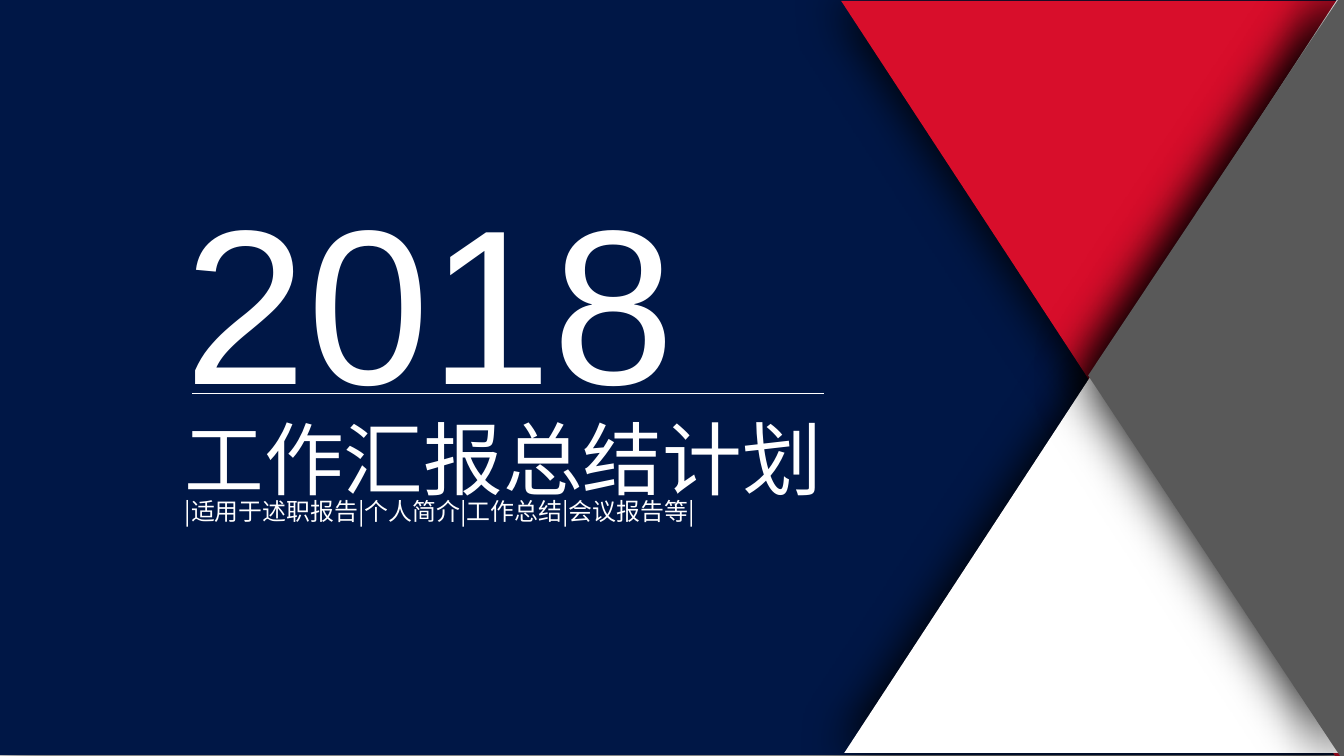
from dataclasses import dataclass

from lxml import etree
from pptx import Presentation
from pptx import util as u
from pptx.dml.color import RGBColor
from pptx.enum import shapes
from pptx.oxml import ns

NAVY, RED, GREY, WHITE = "001746", "D80E2B", "595959", "FFFFFF"
CJK = "Noto Sans CJK SC"


@dataclass
class Triangle:
    top: int
    left: int
    color: str
    blur: int
    angle: int
    flipped: bool


@dataclass
class Label:
    text: str
    top: int
    width: int
    height: int
    size: int
    font: str


TRIANGLES = [
    Triangle(1, 845, RED, 38, 135, False),
    Triangle(-11, 848, WHITE, 36, 225, True),
]
LABELS = [
    Label("|适用于述职报告|个人简介|工作总结|会议报告等|", 494, 542, 38, 18, CJK),
    Label("工作汇报总结计划", 407, 839, 107, 60, CJK),
    Label("2018", 160, 628, 277, 166, "Arial"),
]


def px(n: int) -> u.Emu:
    return u.Emu(n * 9525)


def rgb(color: str) -> RGBColor:
    return RGBColor.from_string(color)


def sub(parent, tag: str, **attrs):
    return etree.SubElement(parent, ns.qn(tag), {k: str(v) for k, v in attrs.items()})


def style(sp, color: str, blur: int, angle: int) -> None:
    """Fill without outline, with a black outer shadow."""
    sp.fill.solid()
    sp.fill.fore_color.rgb = rgb(color)
    sp.line.fill.background()
    sp.shadow.inherit = False
    effects = sp._element.spPr.find(ns.qn("a:effectLst"))
    shadow = sub(effects, "a:outerShdw", blurRad=u.Pt(blur), dist=u.Pt(3),
                 dir=angle * 60000, algn="ctr", rotWithShape=0)
    sub(shadow, "a:srgbClr", val="000000")


def add_triangle(s, t: Triangle) -> None:
    sp = s.shapes.add_shape(shapes.MSO_SHAPE.ISOSCELES_TRIANGLE,
                            px(t.left), px(t.top), px(502), px(767))
    sp.adjustments[0] = 0
    sp.rotation = 180
    if t.flipped:
        sp._element.spPr.xfrm.set("flipV", "1")
    style(sp, t.color, t.blur, t.angle)


def add_label(s, label: Label) -> None:
    tf = s.shapes.add_textbox(px(176), px(label.top), px(label.width), px(label.height)).text_frame
    tf.word_wrap = True
    p = tf.paragraphs[0]
    p.text = label.text
    p.font.size = u.Pt(label.size)
    p.font.name = label.font
    p.font.color.rgb = rgb(WHITE)
    sub(p.font._element, "a:ea", typeface=label.font)


def main() -> None:
    prs = Presentation()
    prs.slide_width, prs.slide_height = px(1350), px(759)
    s = prs.slides.add_slide(prs.slide_layouts[6])

    backdrop = s.shapes.add_shape(shapes.MSO_SHAPE.RECTANGLE, 0, 0, px(1353), px(758))
    style(backdrop, NAVY, 41, 180)
    for t in TRIANGLES:
        add_triangle(s, t)

    wedge = s.shapes.build_freeform(1352, 768, scale=9525)
    wedge.add_line_segments([(1093, 377), (1350, -9)])
    style(wedge.convert_to_shape(), GREY, 41, 180)

    rule = s.shapes.add_connector(shapes.MSO_CONNECTOR.STRAIGHT, px(193), px(395), px(828), px(395))
    rule.line.color.rgb = rgb(WHITE)
    rule.line.width = u.Pt(0.5)
    sub(rule._element.spPr, "a:effectLst")

    for label in LABELS:
        add_label(s, label)
    prs.save("out.pptx")


if __name__ == "__main__":
    main()
